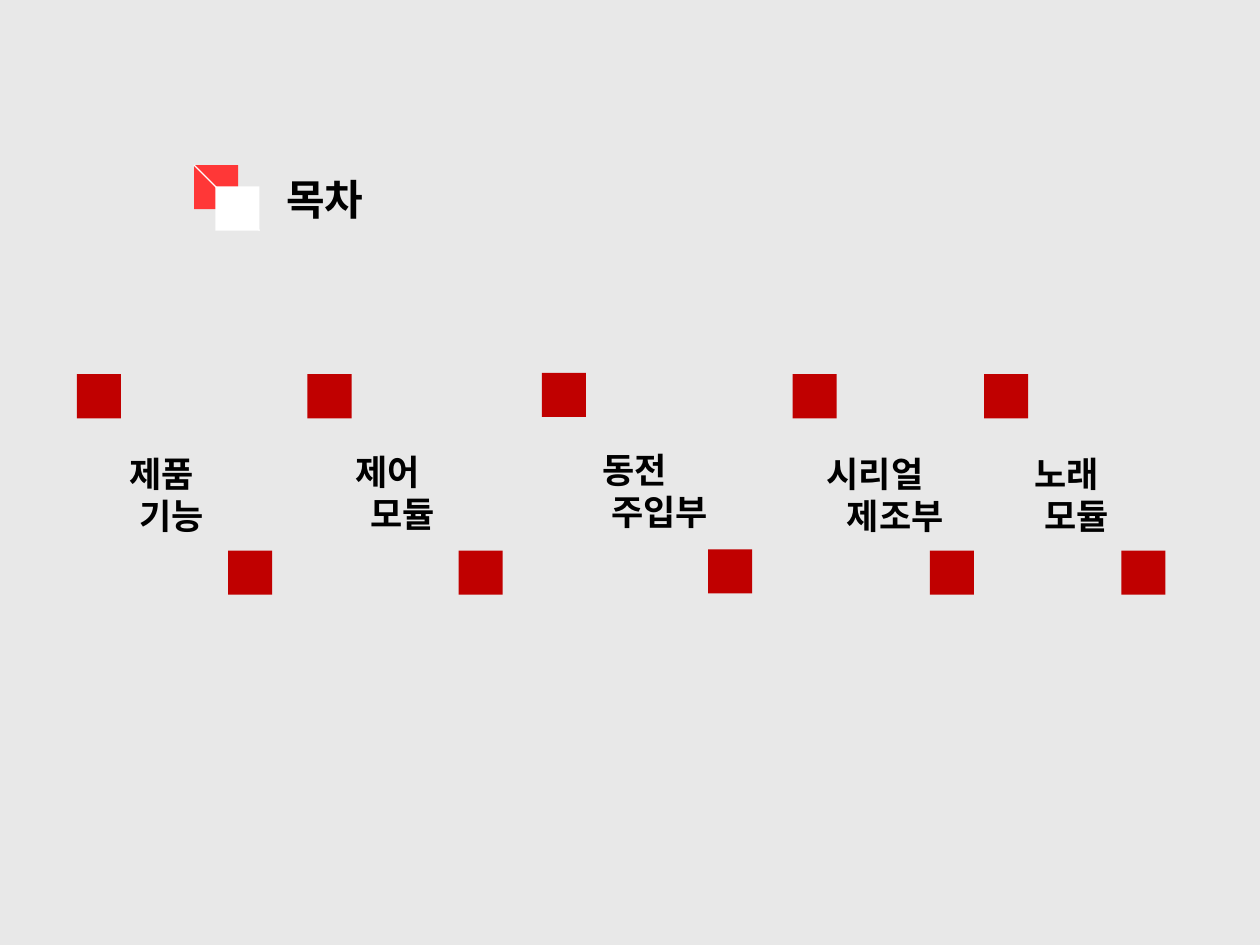
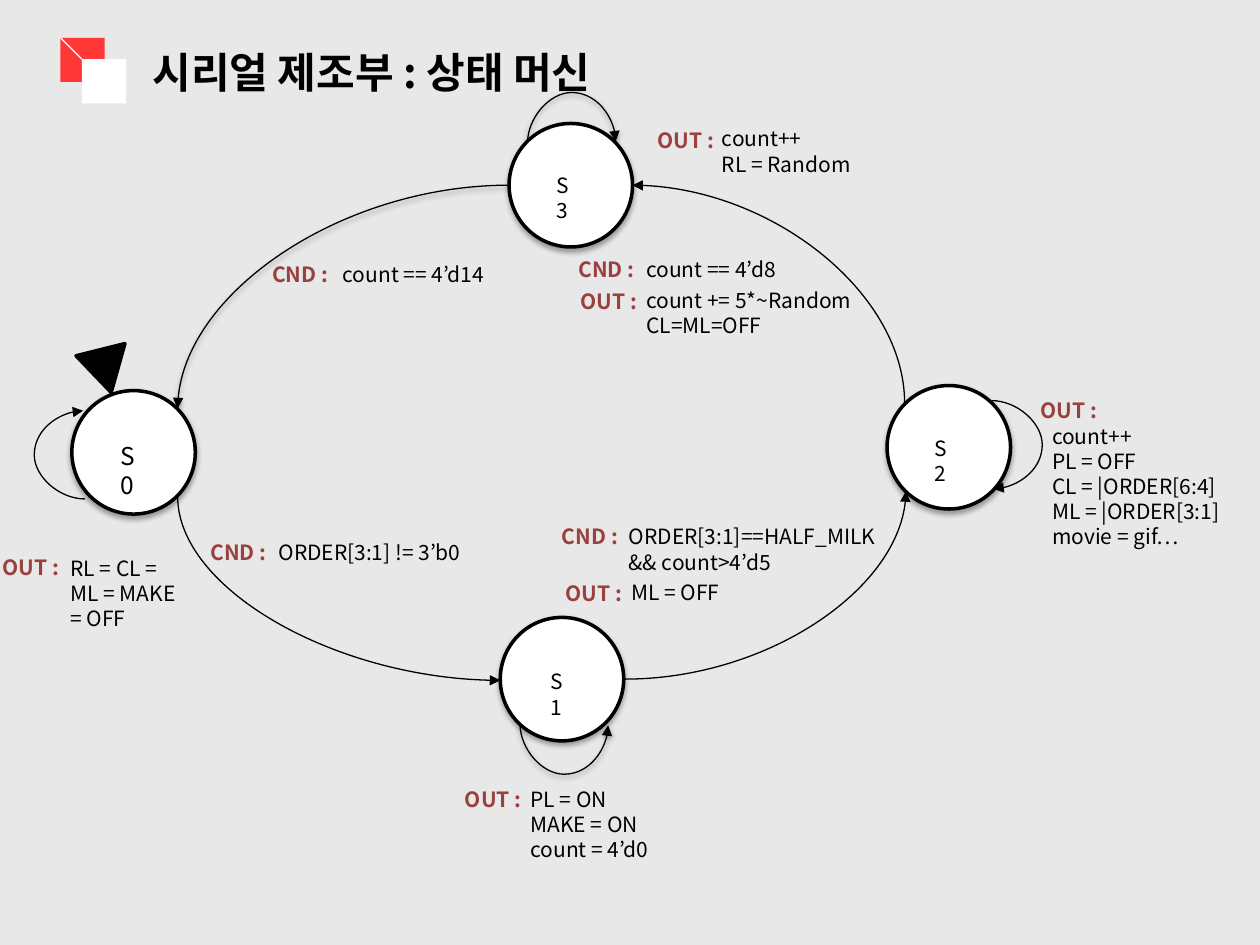
"""Builds a contents slide and a state machine slide for a cereal maker."""
from lxml import etree
from pptx import Presentation
from pptx.dml.color import RGBColor
from pptx.enum.shapes import MSO_CONNECTOR, MSO_SHAPE
from pptx.enum.text import MSO_ANCHOR, PP_ALIGN
from pptx.oxml.ns import qn
from pptx.util import Inches, Pt

RECTANGLE, OVAL, TRIANGLE = MSO_SHAPE.RECTANGLE, MSO_SHAPE.OVAL, MSO_SHAPE.ISOSCELES_TRIANGLE
STRAIGHT, CURVE = MSO_CONNECTOR.STRAIGHT, MSO_CONNECTOR.CURVE
LEFT, CENTER, TOP = PP_ALIGN.LEFT, PP_ALIGN.CENTER, MSO_ANCHOR.TOP
FONT = "Noto Sans CJK KR"
COLORS = {name: RGBColor.from_string(value) for name, value in {
    "ground": "E8E8E8", "badge": "FF3737", "white": "FFFFFF",
    "corner": "C00000", "ink": "000000", "keyword": "9A403E"}.items()}

prs = Presentation()
prs.slide_width, prs.slide_height = Inches(10), Inches(7.5)
COL, ROW = prs.slide_width / 100, prs.slide_height / 75
SQUARE, CIRCLE = 3.5, 9.8


def write(box, lines, size, color="ink", bold=False, align=LEFT, indents=(0,), wrap=True):
    """Fill a text box or placeholder, with one left indent per line."""
    frame = box.text_frame
    frame.word_wrap, frame.vertical_anchor = wrap, TOP
    frame.margin_left = frame.margin_right = frame.margin_top = frame.margin_bottom = Inches(0.05)
    for i, line in enumerate(lines):
        paragraph = frame.add_paragraph() if i else frame.paragraphs[0]
        paragraph.alignment = align
        indent = indents[i % len(indents)]
        if indent:
            paragraph._p.get_or_add_pPr().set("marL", str(round(indent * COL)))
        run = paragraph.add_run()
        run.text = line
        run.font.size, run.font.bold, run.font.name = Pt(size), bold, FONT
        run.font.color.rgb = COLORS[color]
        etree.SubElement(run._r.get_or_add_rPr(), qn("a:ea"), typeface=FONT)


def set_shadow(shape, opacity=0, distance=0):
    """Give a shape a soft shadow below it, or none at all."""
    effects = etree.SubElement(shape._element.spPr, qn("a:effectLst"))
    if opacity:
        outer = etree.SubElement(effects, qn("a:outerShdw"), blurRad=str(Pt(3)),
                                 dist=str(Pt(distance)), dir="5400000", rotWithShape="0")
        black = etree.SubElement(outer, qn("a:srgbClr"), val="000000")
        etree.SubElement(black, qn("a:alpha"), val=str(opacity * 1000))


prs.slide_master.background.fill.solid()
prs.slide_master.background.fill.fore_color.rgb = COLORS["ground"]

topics = [
    (("제품", "기능"), 1.6, 7.8, 35.4, 10.1, 6.1, 18.1, 29.7),
    (("제어", "모듈"), 2.4, 20.8, 35.3, 19.9, 24.4, 36.4, 29.7),
    (("동전", "주입부"), 4, 41.8, 35.1, 17.1, 43, 56.2, 29.6),
    (("시리얼", "제조부"), 3.2, 61.5, 35.4, 15.9, 62.9, 73.8, 29.7),
    (("노래", "모듈"), 1.6, 76.7, 35.4, 15.9, 78.1, 89, 29.7),
]
corners = []
for *_, first, last, top in topics:
    corners += [(first, top, "corner"), (last, top + 14, "corner")]

slides = []
for title, left, top, title_width, extra_squares in [
        ("목차", 15.4, 13.1, 7.7, corners),
        ("시리얼 제조부 : 상태 머신", 4.8, 3, 40.3, [])]:
    slide = prs.slides.add_slide(prs.slide_layouts[5])
    slides.append(slide)
    badge = [(left, top, "badge"), (left + 1.7, top + 1.7, "white")]
    for x, y, color in badge + extra_squares:
        square = slide.shapes.add_shape(RECTANGLE, round(x * COL), round(y * ROW),
                                        round(SQUARE * COL), round(SQUARE * ROW))
        square.fill.solid()
        square.fill.fore_color.rgb = COLORS[color]
        square.line.fill.background()
        square.shadow.inherit = False
    diagonal = slide.shapes.add_connector(
        STRAIGHT, round(left * COL), round(top * ROW),
        round((left + 1.7 + SQUARE) * COL), round((top + 1.7 + SQUARE) * ROW))
    diagonal.line.color.rgb = COLORS["white"]
    diagonal.line.width = Pt(0.75)
    set_shadow(diagonal)
    heading = slide.shapes.title
    heading.left, heading.top = round((left + 6.8) * COL), round((top + 0.2) * ROW)
    heading.width, heading.height = round(title_width * COL), round(5 * ROW)
    write(heading, [title], 24, bold=True, wrap=False)

contents, machine = slides

for words, indent, left, top, width, *_ in topics:
    topic = contents.shapes.add_textbox(round(left * COL), round(top * ROW),
                                        round(width * COL), round(7.7 * ROW))
    write(topic, words, 20, bold=True, align=CENTER, indents=(0, indent))

arcs = [
    ("curvedConnector2", 19.6, 33.9, 14.6, 25.6, 270, "h", "tailEnd", 0),
    ("curvedConnector2", 50.2, 14.7, 21.6, 17.3, 0, "", "headEnd", 0),
    ("curvedConnector2", 14.1, 14.7, 26.3, 17.7, 180, "v", "tailEnd", 38),
    ("curvedConnector2", 49.6, 39, 22.3, 14.9, 0, "v", "tailEnd", 0),
    ("curvedConnector3", 78.7, 31.8, 0.14, 7, 0, "", "tailEnd", 0),
    ("curvedConnector3", 6.6, 32.6, 0.14, 7, 180, "", "tailEnd", 0),
    ("curvedConnector3", 44.7, 54, 0.14, 7, 270, "h", "tailEnd", 38),
    ("curvedConnector3", 45.3, 7.8, 0.14, 7, 90, "hv", "tailEnd", 38),
]
for curve, left, top, width, height, turn, flips, arrow_end, opacity in arcs:
    arc = machine.shapes.add_connector(CURVE, round(left * COL), round(top * ROW),
                                       round((left + width) * COL), round((top + height) * ROW))
    arc.rotation = turn
    properties = arc._element.spPr
    for axis in flips:
        properties.find(qn("a:xfrm")).set("flip" + axis.upper(), "1")
    geometry = properties.find(qn("a:prstGeom"))
    geometry.set("prst", curve)
    if curve == "curvedConnector3":
        etree.SubElement(geometry.find(qn("a:avLst")), qn("a:gd"),
                         name="adj1", fmla="val 2837800")
    arc.line.color.rgb = COLORS["ink"]
    arc.line.width = Pt(0.75)
    etree.SubElement(arc.line._get_or_add_ln(), qn("a:" + arrow_end), type="triangle")
    set_shadow(arc, opacity, 1.6)

outlines = [
    (TRIANGLE, 6.4, 27.7, 4, 3.5, 166, "ink"),
    (OVAL, 5.7, 31, CIRCLE, CIRCLE, 0, "white"),
    (OVAL, 39.7, 49, CIRCLE, CIRCLE, 0, "white"),
    (OVAL, 70.4, 30.6, CIRCLE, CIRCLE, 0, "white"),
    (OVAL, 40.4, 9.8, CIRCLE, CIRCLE, 0, "white"),
]
for kind, left, top, width, height, turn, color in outlines:
    outline = machine.shapes.add_shape(kind, round(left * COL), round(top * ROW),
                                       round(width * COL), round(height * ROW))
    outline.rotation = turn
    outline.fill.solid()
    outline.fill.fore_color.rgb = COLORS[color]
    outline.line.color.rgb = COLORS["ink"]
    outline.line.width = Pt(2)
    set_shadow(outline, 35 if kind == OVAL else 0, 1.8)

states = [("S0", 9.1, 34.5, 14), ("S1", 43.2, 52.6, 12),
          ("S2", 73.7, 34.1, 12), ("S3", 43.7, 13.2, 12)]
for state, left, top, size in states:
    label = machine.shapes.add_textbox(round(left * COL), round(top * ROW),
                                       round(2.6 * COL), round(3 * ROW))
    write(label, [state], size)

notes = [
    ("CND :", 16.2, 42.3, 21.6, 42.3, 15.8, ["ORDER[3:1] != 3’b0"]),
    ("OUT :", 82.1, 31.1, 83, 33.1, 14.8,
     ["count++", "PL = OFF", "CL = |ORDER[6:4]", "ML = |ORDER[3:1]", "movie = gif…"]),
    ("OUT :", -0.3, 43.5, 5.1, 43.6, 21.2, ["RL = CL =", "ML = MAKE", "= OFF"]),
    ("OUT :", 45.6, 22.4, 50.8, 22.3, 18.1, ["count += 5*~Random", "CL=ML=OFF"]),
    ("CND :", 45.4, 19.9, 50.8, 19.9, 12.8, ["count == 4’d8"]),
    ("OUT :", 51.7, 9.6, 56.8, 9.5, 11.6, ["count++", "RL = Random"]),
    ("CND :", 21.1, 20.3, 26.7, 20.3, 13.1, ["count == 4’d14"]),
    ("CND :", 44.1, 41.1, 49.4, 41.1, 21.2, ["ORDER[3:1]==HALF_MILK", "&& count>4’d5"]),
    ("OUT :", 44.4, 45.6, 49.6, 45.5, 8.7, ["ML = OFF"]),
    ("OUT :", 36.4, 61.9, 41.6, 61.9, 11, ["PL = ON", "MAKE = ON", "count = 4’d0"]),
]
for keyword, key_left, key_top, left, top, width, lines in notes:
    for words, x, y, span, color in [([keyword], key_left, key_top, 5.7, "keyword"),
                                     (lines, left, top, width, "ink")]:
        note = machine.shapes.add_textbox(round(x * COL), round(y * ROW), round(span * COL),
                                          round((1 + 2 * len(words)) * ROW))
        write(note, words, 12, color, bold=color == "keyword", wrap=False)

prs.save("out.pptx")
